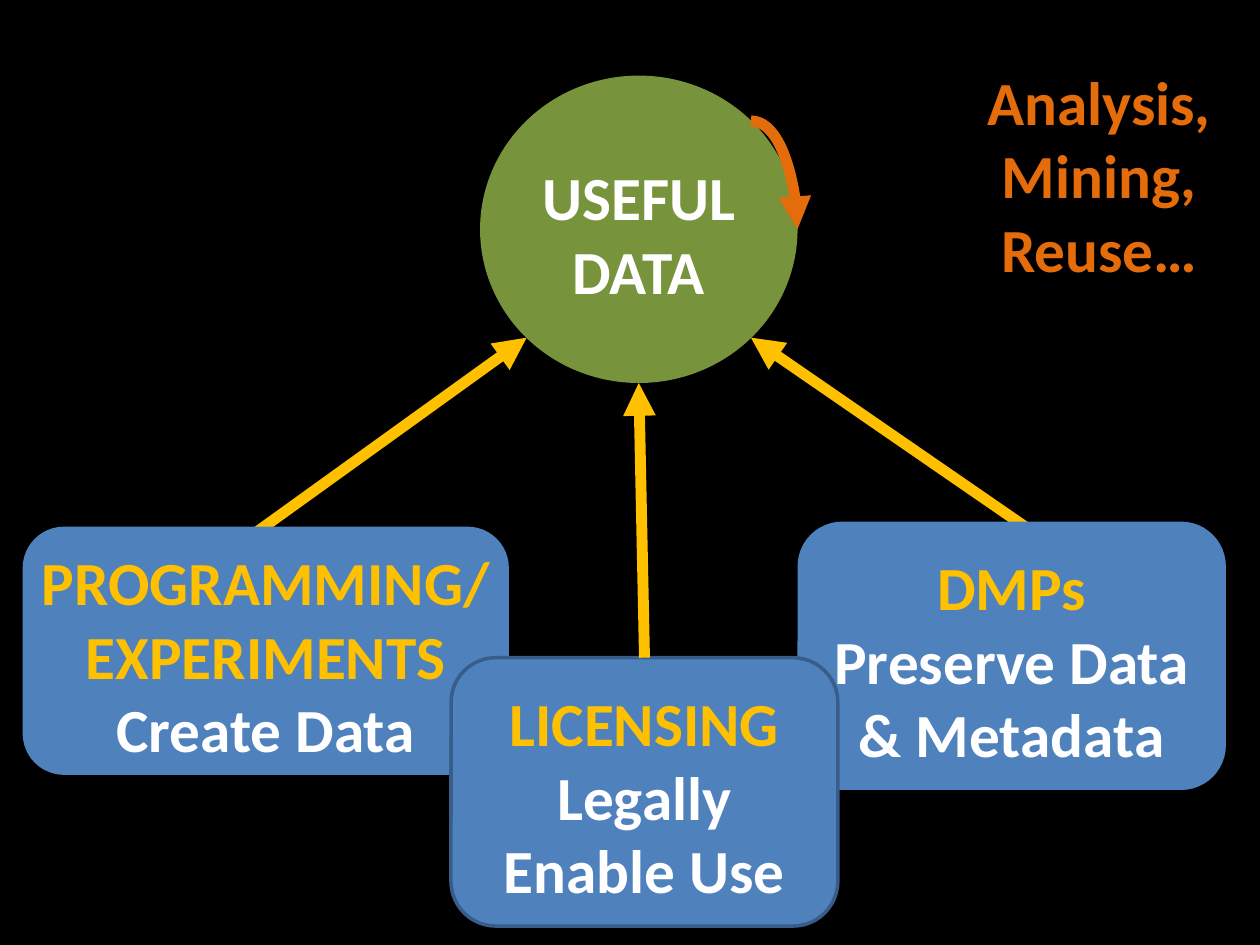
from lxml import etree
from pptx import Presentation
from pptx import util as u
from pptx.dml.color import RGBColor
from pptx.enum import shapes, text
from pptx.oxml.ns import qn

BLACK = RGBColor(0x00, 0x00, 0x00)
WHITE = RGBColor(0xFF, 0xFF, 0xFF)
GOLD = RGBColor(0xFF, 0xC0, 0x00)
ORANGE = RGBColor(0xE4, 0x6C, 0x0A)
GREEN = RGBColor(0x77, 0x93, 0x3C)
BLUE = RGBColor(0x4F, 0x81, 0xBD)
NAVY = RGBColor(0x38, 0x5D, 0x8A)


class Diagram:
    font_name = "Calibri"
    font_size = u.Pt(35)
    arrow_width = u.Pt(6.25)

    def __init__(self, slide):
        self.slide = slide

    def set_lines(self, frame, lines):
        """Fill a text frame with (words, colour) paragraphs."""
        frame.word_wrap = True
        for index, (words, color) in enumerate(lines):
            paragraph = frame.paragraphs[0] if index == 0 else frame.add_paragraph()
            paragraph.text = words
            paragraph.alignment = text.PP_ALIGN.CENTER
            font = paragraph.font
            font.name, font.size, font.bold = self.font_name, self.font_size, True
            font.color.rgb = color

    def node(self, kind, place, fill, lines, outline=None):
        shape = self.slide.shapes.add_shape(kind, *map(u.Inches, place))
        shape.shadow.inherit = False
        shape.fill.solid()
        shape.fill.fore_color.rgb = fill
        if outline is None:
            shape.line.fill.background()
        else:
            shape.line.color.rgb = outline
            shape.line.width = u.Pt(2)
        frame = shape.text_frame
        frame.vertical_anchor = text.MSO_ANCHOR.MIDDLE
        frame.margin_left = frame.margin_right = u.Inches(0.02)
        frame.margin_top, frame.margin_bottom = u.Inches(0.08), u.Inches(0.02)
        self.set_lines(frame, lines)
        return shape

    def box(self, place, lines, outline=None):
        return self.node(shapes.MSO_SHAPE.ROUNDED_RECTANGLE, place, BLUE, lines, outline)

    def label(self, place, lines):
        shape = self.slide.shapes.add_textbox(*map(u.Inches, place))
        self.set_lines(shape.text_frame, lines)

    def arrow(self, start, end, color, kind=shapes.MSO_CONNECTOR.STRAIGHT):
        connector = self.slide.shapes.add_connector(kind, *map(u.Inches, start + end))
        connector.line.color.rgb = color
        connector.line.width = self.arrow_width
        properties = connector._element.spPr
        etree.SubElement(properties.find(qn("a:ln")), qn("a:tailEnd"), type="triangle")
        etree.SubElement(properties, qn("a:effectLst"))
        return connector

    def quarter_arrow(self, start, end, color):
        connector = self.arrow(start, end, color, shapes.MSO_CONNECTOR.CURVE)
        connector._element.spPr.find(qn("a:prstGeom")).set("prst", "curvedConnector2")


def main():
    presentation = Presentation()
    presentation.slide_width, presentation.slide_height = u.Inches(10), u.Inches(7.5)
    slide = presentation.slides.add_slide(presentation.slide_layouts[6])
    slide.background.fill.solid()
    slide.background.fill.fore_color.rgb = BLACK
    diagram = Diagram(slide)

    # Outer arrows, starting behind their boxes
    diagram.arrow((1.93, 4.3), (4.18, 2.68), GOLD)
    diagram.arrow((8.31, 4.3), (5.96, 2.68), GOLD)

    # Goal
    diagram.node(shapes.MSO_SHAPE.OVAL, (3.81, 0.6, 2.52, 2.44), GREEN,
                 [("USEFUL DATA", WHITE)])

    # Contributing activities
    diagram.box((0.18, 4.18, 3.86, 1.97),
                [("PROGRAMMING/", GOLD), ("EXPERIMENTS", GOLD), ("Create Data", WHITE)])
    diagram.box((6.33, 4.14, 3.4, 2.13),
                [("DMPs", GOLD), ("Preserve Data & Metadata", WHITE)])
    licensing = diagram.box((3.58, 5.22, 3.07, 2.13),
                            [("LICENSING", GOLD), ("Legally Enable Use", WHITE)], NAVY)
    diagram.arrow((5.12, 5.22), (5.07, 3.04), GOLD).begin_connect(licensing, 0)

    # Reuse loop
    diagram.quarter_arrow((5.96, 0.96), (6.33, 1.82), ORANGE)
    diagram.label((7.64, 0.46, 2.17, 1.87), [("Analysis, Mining, Reuse…", ORANGE)])

    presentation.save("out.pptx")


if __name__ == "__main__":
    main()
